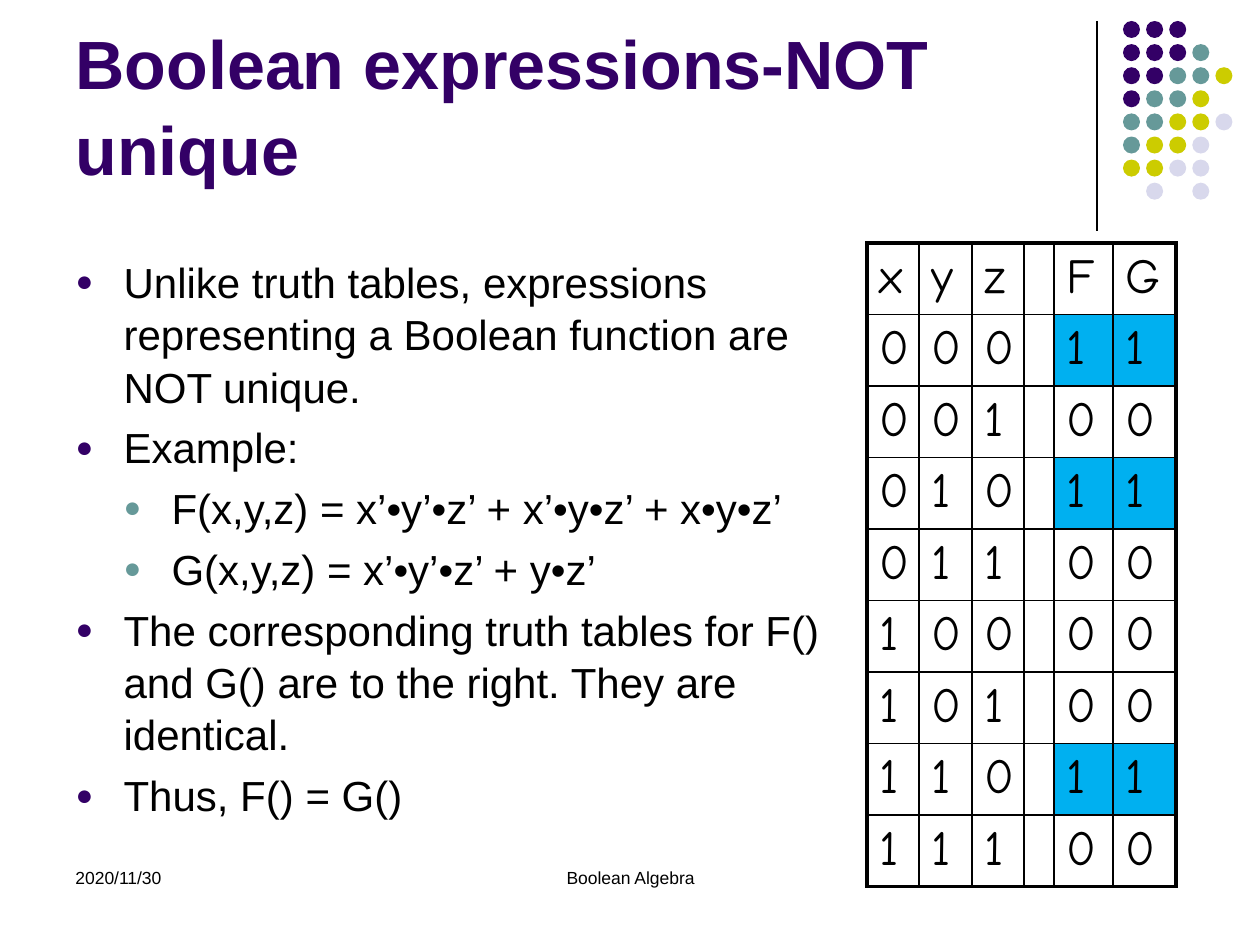
from itertools import product
from lxml.etree import SubElement
from pptx import Presentation
from pptx.dml.color import RGBColor
from pptx.enum.shapes import MSO_CONNECTOR, MSO_SHAPE
from pptx.enum.text import MSO_ANCHOR, MSO_AUTO_SIZE, PP_ALIGN
from pptx.oxml.ns import qn
from pptx.util import Emu, Pt

SCALE = 9144000 / 1260
HUES = {"ink": "000000", "plum": "330066", "teal": "669999",
        "lime": "CCCC00", "mist": "D8D8EC", "blue": "00B0F0"}
DOTS = ["PPP", "PPPT", "PPTTL", "PTTL", "TTLLM", "TLLM", "LLMM", " M M"]
KEYS = {"P": "plum", "T": "teal", "L": "lime", "M": "mist"}
POINTS = [
    (0, "Unlike truth tables, expressions representing a Boolean function are NOT unique."),
    (0, "Example:"),
    (1, "F(x,y,z) = x’•y’•z’ + x’•y•z’ + x•y•z’"),
    (1, "G(x,y,z) = x’•y’•z’ + y•z’"),
    (0, "The corresponding truth tables for F() and G() are to the right. They are identical."),
    (0, "Thus, F() = G()"),
]


def px(n):
    """Turn picture pixels into EMU."""
    return Emu(round(n * SCALE))


def hue(name):
    """Look up a colour."""
    return RGBColor.from_string(HUES[name])


def node(top, tag, **attrs):
    """Add a DrawingML child element."""
    return SubElement(top, qn("a:" + tag), attrs)


def place(shape, box):
    """Move a shape to a pixel box."""
    shape.left, shape.top, shape.width, shape.height = map(px, box)


def style(para, size, color="ink", face="Arial", bold=False):
    """Set the font of a paragraph."""
    font = para.font
    font.size, font.name, font.bold = Pt(size), face, bold
    font.color.rgb = hue(color)


def lead(para):
    """Put a fifth of a line before a paragraph."""
    para.space_before = Pt(0)
    gap = para._p.pPr.find(qn("a:spcBef"))
    gap.remove(gap[0])
    node(gap, "spcPct", val="20000")


def head(slide, box):
    """Fill the title."""
    title = slide.shapes.title
    place(title, box)
    frame = title.text_frame
    frame.text = "Boolean expressions-NOT unique"
    frame.vertical_anchor = MSO_ANCHOR.BOTTOM
    frame.auto_size = MSO_AUTO_SIZE.NONE
    para = frame.paragraphs[0]
    para.alignment, para.line_spacing = PP_ALIGN.LEFT, 1.04
    style(para, 39, "plum", bold=True)


def body(slide, box):
    """Fill the bulleted list."""
    holder = slide.placeholders[1]
    place(holder, box)
    frame = holder.text_frame
    frame.auto_size = MSO_AUTO_SIZE.NONE
    frame.text = "\n".join(text for _, text in POINTS)
    for para, (level, _) in zip(frame.paragraphs, POINTS):
        para.level, para.line_spacing = level, 1.04
        lead(para)
        props = para._p.get_or_add_pPr()
        props.set("marL", str(px(48 * (level + 1))))
        props.set("indent", str(px(-48)))
        tint = HUES["teal" if level else "plum"]
        node(node(props, "buClr"), "srgbClr", val=tint)
        node(props, "buSzPct", val="70000")
        node(props, "buFont", typeface="Arial")
        node(props, "buChar", char="●")
        style(para, 24)


def note(slide, box, text, align):
    """Add a line of footer text."""
    frame = slide.shapes.add_textbox(*map(px, box)).text_frame
    frame.word_wrap = True
    frame.text = text
    para = frame.paragraphs[0]
    para.alignment = align
    style(para, 10)


def motif(slide, box):
    """Draw the rule and the dot pattern beside it."""
    left, top, _, high = box
    rule = slide.shapes.add_connector(
        MSO_CONNECTOR.STRAIGHT, px(left), px(top), px(left), px(top + high))
    rule.line.color.rgb, rule.line.width = hue("ink"), Pt(0.75)
    node(rule._element.spPr, "effectLst")
    group = slide.shapes.add_group_shape()
    for row, marks in enumerate(DOTS):
        for col, mark in enumerate(marks):
            if mark == " ":
                continue
            dot = group.shapes.add_shape(
                MSO_SHAPE.OVAL, px(left + 26 + 23.1 * col),
                px(top + 23.1 * row), px(17), px(17))
            dot.shadow.inherit = False
            dot.fill.solid()
            dot.fill.fore_color.rgb = hue(KEYS[mark])
            dot.line.fill.background()


def edge(cell, heavy):
    """Line a cell, thick on the sides named in heavy."""
    props = cell._tc.get_or_add_tcPr()
    for spot, side in enumerate("LRTB"):
        width = Pt(2.25 if side in heavy else 1)
        line = node(props, "ln" + side, w=str(width))
        node(node(line, "solidFill"), "srgbClr", val=HUES["ink"])
        props.remove(line)
        props.insert(spot, line)


def truth(slide, box):
    """Build the truth table of F and G."""
    rows = [["x", "y", "z", "", "F", "G"]]
    for x, y, z in product((0, 1), repeat=3):
        f = (not x and not y and not z) or (not x and y and not z) or (x and y and not z)
        g = (not x and not y and not z) or (y and not z)
        rows.append([x, y, z, "", int(f), int(g)])
    last, end = len(rows) - 1, len(rows[0]) - 1
    table = slide.shapes.add_table(last + 1, end + 1, *map(px, box)).table
    table.first_row = table.horz_banding = False
    for col, width in zip(table.columns, (52, 53, 52, 30, 59, 63)):
        col.width = px(width)
    for r, row in enumerate(rows):
        for c, value in enumerate(row):
            cell = table.cell(r, c)
            cell.text = str(value)
            para = cell.text_frame.paragraphs[0]
            lead(para)
            style(para, 28, face="Comic Neue")
            if c > 3 and value == 1:
                cell.fill.solid()
                cell.fill.fore_color.rgb = hue("blue")
            else:
                cell.fill.background()
            sides = {"L": c == 0, "R": c == end, "T": r == 0, "B": r == last}
            edge(cell, [side for side, on in sides.items() if on])


def main():
    """Build the slide and save it."""
    deck = Presentation()
    deck.slide_width, deck.slide_height = px(1260), px(945)
    slide = deck.slides.add_slide(deck.slide_layouts[1])
    motif(slide, (1097, 21, 136, 210))
    head(slide, (63, 16, 1040, 179))
    body(slide, (63, 248, 800, 624))
    note(slide, (63, 861, 294, 63), "2020/11/30", PP_ALIGN.LEFT)
    note(slide, (431, 861, 399, 63), "Boolean Algebra", PP_ALIGN.CENTER)
    truth(slide, (867, 243, 309, 643))
    deck.save("out.pptx")


main()
